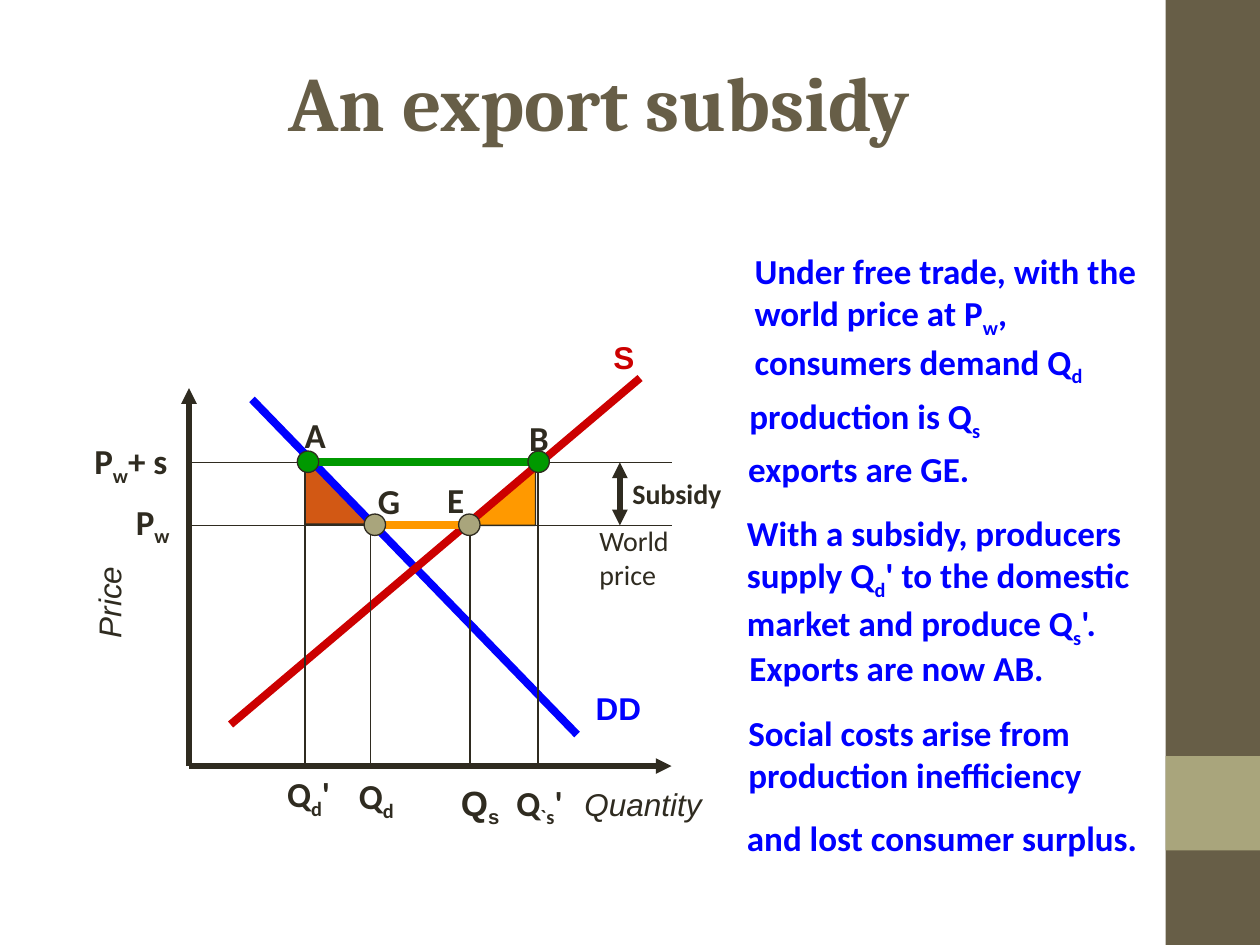
from lxml import etree
from pptx import Presentation
from pptx.dml.color import RGBColor
from pptx.enum.shapes import MSO_CONNECTOR, MSO_SHAPE
from pptx.enum.text import MSO_ANCHOR, MSO_AUTO_SIZE, PP_ALIGN
from pptx.oxml.ns import qn
from pptx.util import Inches, Pt

STRAIGHT = MSO_CONNECTOR.STRAIGHT
RECTANGLE, OVAL, TRIANGLE = MSO_SHAPE.RECTANGLE, MSO_SHAPE.OVAL, MSO_SHAPE.RIGHT_TRIANGLE
TOP, CENTER = MSO_ANCHOR.TOP, PP_ALIGN.CENTER
FIT_SHAPE, NO_FIT = MSO_AUTO_SIZE.SHAPE_TO_FIT_TEXT, MSO_AUTO_SIZE.NONE

COLORS = {
    "ink": "2F2B20", "brown": "675E47", "sage": "A9A57C", "blue": "0000FF",
    "red": "CC0000", "green": "009900", "orange": "FF9900", "rust": "D25814",
}
COLORS = {name: RGBColor.from_string(value) for name, value in COLORS.items()}

# Text formats
NOTE = {"name": "Calibri", "size": Pt(20), "bold": True, "color": "blue"}
POINT = {**NOTE, "color": "ink"}
SUBSIDY = {**POINT, "size": Pt(16)}
WORLD = {**SUBSIDY, "bold": False}
AXIS = {"name": "Arial", "size": Pt(18), "italic": True, "color": "ink"}
DEMAND = {"name": "Arial", "size": Pt(18), "bold": True, "color": "blue"}
SUPPLY = {**DEMAND, "color": "red"}
ARIAL_POINT = {**POINT, "name": "Arial"}
TITLE = {"name": "Cambria", "size": Pt(44), "bold": True, "color": "brown"}

# Positions on the diagram
ORIGIN_X, ORIGIN_Y, RIGHT_X = 1.5, 6.08, 5.33
SUBSIDY_Y, WORLD_Y = 3.67, 4.17
QD_NEW, QD, QS, QS_NEW = 2.42, 2.94, 3.73, 4.27
ARROW_X = 4.92
DOT = 0.17


def write_text(paragraph, text, text_format):
    """Add text as runs; parts between underscores become subscripts."""
    for index, part in enumerate(text.split("_")):
        if not part:
            continue
        run = paragraph.add_run()
        run.text = part
        for attribute, value in text_format.items():
            if attribute == "color":
                run.font.color.rgb = COLORS[value]
            else:
                setattr(run.font, attribute, value)
        if index % 2:
            run._r.get_or_add_rPr().set("baseline", "-25000")


def add_filled_shape(kind, left, top, width, height, color, outlined=True):
    shape = slide.shapes.add_shape(
        kind, Inches(left), Inches(top), Inches(width), Inches(height))
    shape.shadow.inherit = False
    shape.fill.solid()
    shape.fill.fore_color.rgb = COLORS[color]
    if outlined:
        shape.line.color.rgb = COLORS["ink"]
        shape.line.width = Pt(0.75)
    else:
        shape.line.fill.background()
    return shape


presentation = Presentation()
presentation.slide_width, presentation.slide_height = Inches(10), Inches(7.5)
slide = presentation.slides.add_slide(presentation.slide_layouts[5])

title = slide.shapes.title
title.left, title.top = Inches(0.51), Inches(0.38)
title.width, title.height = Inches(8.5), Inches(1.21)
title.text_frame.vertical_anchor = TOP
title.text_frame.auto_size = NO_FIT
title.text_frame.paragraphs[0].alignment = CENTER
write_text(title.text_frame.paragraphs[0], "An export subsidy", TITLE)

# Side band
add_filled_shape(RECTANGLE, 9.25, 0, 0.75, 7.5, "brown", outlined=False)
add_filled_shape(RECTANGLE, 9.25, 6, 0.75, 0.75, "sage", outlined=False)

# Social cost areas
production_loss = add_filled_shape(TRIANGLE, QS, SUBSIDY_Y, 0.52, 0.5, "orange")
production_loss._element.spPr.get_or_add_xfrm().set("flipH", "1")
add_filled_shape(TRIANGLE, QD_NEW, 3.58, 0.5, 0.58, "rust")

# Lines: start, end, colour, width, arrowheads
lines = [
    (ORIGIN_X, ORIGIN_Y, RIGHT_X, ORIGIN_Y, "ink", 3, ["tailEnd"]),
    (ORIGIN_X, ORIGIN_Y, ORIGIN_X, 3.08, "ink", 3, ["tailEnd"]),
    (2, 3.17, 4.58, 5.83, "blue", 4.5, []),
    (1.83, 5.75, 5.08, 3, "red", 4.5, []),
]
for price_y in (WORLD_Y, SUBSIDY_Y):
    lines.append((ORIGIN_X, price_y, RIGHT_X, price_y, "ink", 0.75, []))
for x, price_y in ((QD, WORLD_Y), (QS, WORLD_Y), (QD_NEW, SUBSIDY_Y), (QS_NEW, SUBSIDY_Y)):
    lines.append((x, price_y, x, ORIGIN_Y, "ink", 0.75, []))
lines += [
    (2.98, WORLD_Y, QS, WORLD_Y, "orange", 4.5, []),
    (ARROW_X, SUBSIDY_Y, ARROW_X, WORLD_Y, "ink", 3, ["headEnd", "tailEnd"]),
    (QD_NEW, SUBSIDY_Y, 4.25, SUBSIDY_Y, "green", 4.5, []),
]
for x1, y1, x2, y2, color, width, arrowheads in lines:
    connector = slide.shapes.add_connector(
        STRAIGHT, Inches(x1), Inches(y1), Inches(x2), Inches(y2))
    connector.line.color.rgb = COLORS[color]
    connector.line.width = Pt(width)
    properties = connector._element.spPr
    for arrowhead in arrowheads:
        etree.SubElement(properties.find(qn("a:ln")), qn(f"a:{arrowhead}"), type="triangle")
    etree.SubElement(properties, qn("a:effectLst"))

# Points E, G, B and A
for left, top, color in (
    (3.64, 4.08, "sage"), (2.89, 4.08, "sage"),
    (4.19, 3.58, "green"), (2.36, 3.58, "green"),
):
    add_filled_shape(OVAL, left, top, DOT, DOT, color)

# Texts: left, top, width, height, lines, format, rotation
texts = [
    (4.63, 5.42, 0.56, 0.4, ["DD"], DEMAND, 0),
    (4.77, 2.63, 0.36, 0.4, ["S"], SUPPLY, 0),
    (4.54, 6.18, 1.13, 0.4, ["Quantity"], AXIS, 0),
    (0.48, 4.58, 0.77, 0.4, ["Price"], AXIS, 270),
    (0.98, 3.92, 0.47, 0.48, ["P_w_"], POINT, 0),
    (0.65, 3.44, 0.78, 0.48, ["P_w_+ s"], POINT, 0),
    (4.66, 4.11, 0.76, 0.64, ["World", "price"], WORLD, 0),
    (4.92, 3.73, 0.91, 0.37, ["Subsidy"], SUBSIDY, 0),
    (2.18, 6.08, 0.54, 0.48, ["Q_d_'"], POINT, 0),
    (2.75, 6.1, 0.48, 0.48, ["Q_d_"], POINT, 0),
    (3.56, 6.15, 0.55, 0.48, ["Q_s_"], ARIAL_POINT, 0),
    (4, 6.15, 0.57, 0.48, ["Q_`s_'"], POINT, 0),
    (2.32, 3.23, 0.37, 0.44, ["A"], POINT, 0),
    (4.1, 3.26, 0.35, 0.44, ["B"], POINT, 0),
    (2.9, 3.76, 0.37, 0.44, ["G"], POINT, 0),
    (3.45, 3.75, 0.33, 0.44, ["E"], POINT, 0),
    (5.89, 1.93, 3.3, 0.82,
     ["Under free trade, with the", "world price at P_w_,"], NOTE, 0),
    (5.89, 2.65, 2.81, 0.48, ["consumers demand Q_d_"], NOTE, 0),
    (5.85, 3.08, 2.03, 0.48, ["production is Q_s_"], NOTE, 0),
    (5.84, 3.5, 1.96, 0.44, ["exports are GE."], NOTE, 0),
    (5.83, 4.01, 3.3, 1.19,
     ["With a subsidy, producers", "supply Q_d_' to the domestic",
      "market and produce Q_s_'."], NOTE, 0),
    (5.85, 5.08, 2.54, 0.44, ["Exports are now AB."], NOTE, 0),
    (5.84, 5.6, 2.85, 0.77,
     ["Social costs arise from", "production inefficiency"], NOTE, 0),
    (5.83, 6.43, 3.3, 0.44, ["and lost consumer surplus."], NOTE, 0),
]
for left, top, width, height, text_lines, text_format, rotation in texts:
    box = slide.shapes.add_textbox(Inches(left), Inches(top), Inches(width), Inches(height))
    box.rotation = rotation
    frame = box.text_frame
    frame.word_wrap = False
    frame.auto_size = FIT_SHAPE
    for index, line in enumerate(text_lines):
        paragraph = frame.add_paragraph() if index else frame.paragraphs[0]
        write_text(paragraph, line, text_format)

presentation.save("out.pptx")
